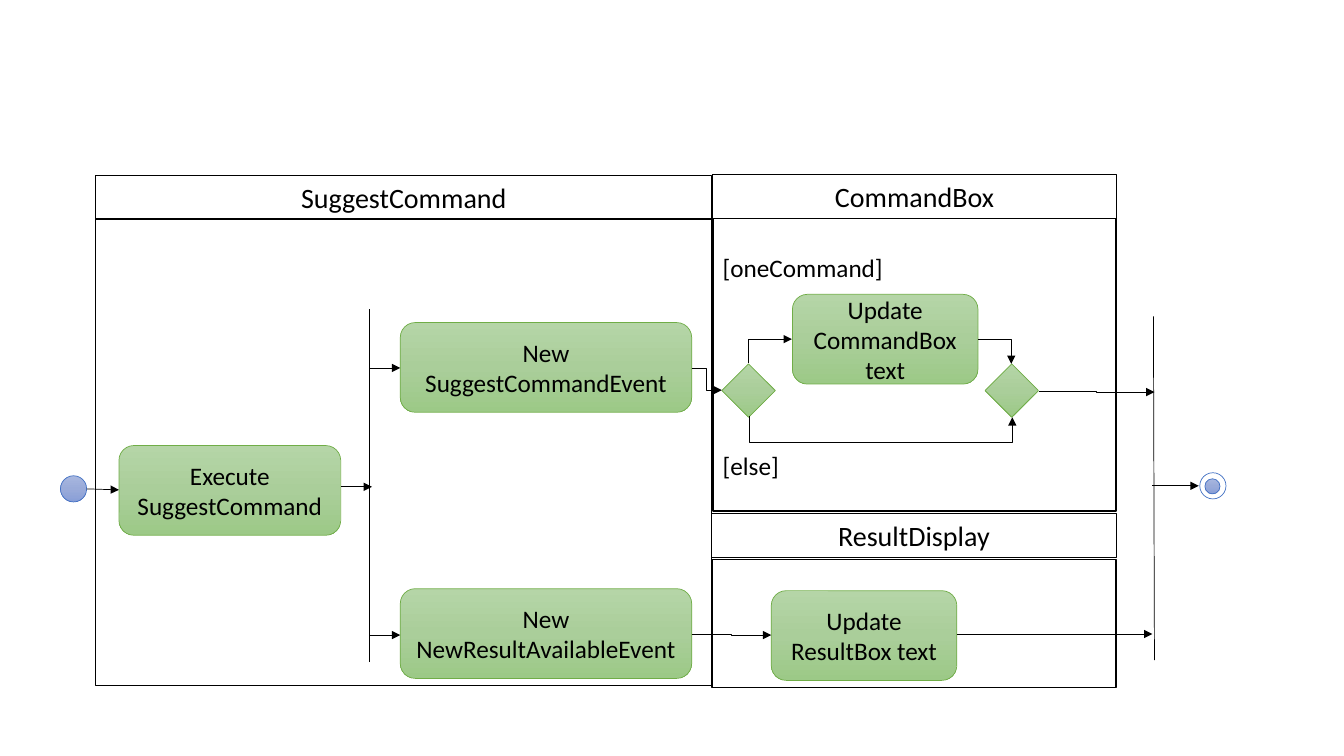
from copy import deepcopy
from pptx import Presentation
from pptx.dml.color import RGBColor
from pptx.enum.shapes import MSO_CONNECTOR, MSO_SHAPE
from pptx.enum.text import MSO_ANCHOR, PP_ALIGN
from pptx.oxml.ns import qn
from pptx.util import Inches, Pt
from lxml import etree

RECT, ROUND = MSO_SHAPE.RECTANGLE, MSO_SHAPE.ROUNDED_RECTANGLE
OVAL, GEM = MSO_SHAPE.OVAL, MSO_SHAPE.DIAMOND
LINE, ELBOW = MSO_CONNECTOR.STRAIGHT, MSO_CONNECTOR.ELBOW
TOP, MIDDLE = MSO_ANCHOR.TOP, MSO_ANCHOR.MIDDLE
LEFT, CENTER = PP_ALIGN.LEFT, PP_ALIGN.CENTER

BLACK = RGBColor(0, 0, 0)
WHITE = RGBColor(0xFF, 0xFF, 0xFF)
GREEN = RGBColor(0x70, 0xAD, 0x47)
BLUE = RGBColor(0x44, 0x72, 0xC4)
LEAF = [RGBColor.from_string(c) for c in ("B5D5A7", "AACE9A", "9CC987")]
SKY = [RGBColor.from_string(c) for c in ("A8B7DF", "9AABD9", "889ED7")]

HEAD, STEP, NODE, DOT = 0.44, 0.89, 0.53, 0.26
FORK, JOIN = 3.66, 11.44

LANES = [
    ("CommandBox", 7.07, 1.73, 4, 2.17, 2.9),
    ("ResultDisplay", 7.06, 5.09, 4.01, 5.55, 1.27),
    ("SuggestCommand", 0.95, 1.74, 6.11, 2.17, 4.63),
]
STEPS = [
    ("Execute SuggestCommand", 1.18, 4.42, 2.2),
    ("New SuggestCommandEvent", 3.97, 3.2, 2.89),
    ("New NewResultAvailableEvent", 3.97, 5.84, 2.89),
    ("Update CommandBox text", 7.86, 2.92, 1.84),
    ("Update ResultBox text", 7.65, 5.86, 1.84),
]
GUARDS = [("[oneCommand]", 7.07, 2.45, 1.83), ("[else]", 7.07, 4.42, 0.93)]
NODES = [(7.16, 3.61), (9.77, 3.61)]
DOTS = [(0.6, 4.72, DOT, SKY), (11.9, 4.69, DOT, [WHITE]), (11.95, 4.75, 0.15, SKY)]
BARS = [(FORK, 6.57, FORK, 3.07), (JOIN + 0.01, 6.55, JOIN, 3.14)]
FLOWS = [
    (0.86, 4.85, 1.18, 4.86),
    (3.38, 4.83, 3.69, 4.83),
    (FORK, 3.65, 3.97, 3.65),
    (FORK, 6.3, 3.97, 6.3),
    (9.49, 6.29, 11.43, 6.29),
    (11.43, 4.82, 11.89, 4.82),
]
BENDS = [
    (6.86, 3.65, 7.16, 3.87),
    (6.86, 6.29, 7.65, 6.3),
    (10.3, 3.88, 11.45, 3.89),
]
TURNS = [
    (7.52, 3.27, 0.24, 0.43, "bentConnector2", 90, "HV", None),
    (9.7, 3.37, 0.33, 0.24, "bentConnector2", 0, "", None),
    (8.73, 2.83, 0.01, 2.61, "bentConnector3", 270, "H", 26),
]

deck = Presentation()
deck.slide_width, deck.slide_height = Inches(13.33), Inches(7.5)
slide = deck.slides.add_slide(deck.slide_layouts[6])


def write(shape, text, size=18, align=CENTER, anchor=MIDDLE):
    frame = shape.text_frame
    frame.word_wrap = True
    frame.vertical_anchor = anchor
    para = frame.paragraphs[0]
    para.alignment = align
    run = para.add_run()
    run.text = text
    run.font.size = Pt(size)
    run.font.name = "Calibri"
    run.font.color.rgb = BLACK


def draw(kind, x, y, w, h, fill=(), line=BLACK, width=0.5):
    shape = slide.shapes.add_shape(kind, *map(Inches, (x, y, w, h)))
    shape.shadow.inherit = False
    shape.line.color.rgb = line
    shape.line.width = Pt(width)
    if len(fill) == 3:
        shape.fill.gradient()
        shape.fill.gradient_angle = 270
        first = next(shape._element.spPr.iter(qn("a:gs")))
        first.addnext(deepcopy(first))
        for i, stop in enumerate(shape.fill.gradient_stops):
            stop.position = i / 2
            stop.color.rgb = fill[i]
    elif fill:
        shape.fill.solid()
        shape.fill.fore_color.rgb = fill[0]
    else:
        shape.fill.background()
    return shape


def link(kind, ends, arrow=True):
    wire = slide.shapes.add_connector(kind, *map(Inches, ends))
    wire.line.color.rgb = BLACK
    wire.line.width = Pt(0.5)
    props = wire._element.spPr
    if arrow:
        etree.SubElement(props.find(qn("a:ln")), qn("a:tailEnd"), type="triangle")
    etree.SubElement(props, qn("a:effectLst"))
    return props


for name, x, y, w, top, h in LANES:
    draw(RECT, x, top, w, h, width=1)
    write(draw(RECT, x, y, w, HEAD, width=0.75), name, size=20, anchor=TOP)
for text, x, y, w in STEPS:
    write(draw(ROUND, x, y, w, STEP, fill=LEAF, line=GREEN), text)
for text, x, y, w in GUARDS:
    label = slide.shapes.add_textbox(*map(Inches, (x, y, w, 0.4)))
    write(label, text, align=LEFT, anchor=TOP)
for x, y in NODES:
    draw(GEM, x, y, NODE, NODE, fill=LEAF, line=GREEN)
for x, y, size, fill in DOTS:
    draw(OVAL, x, y, size, size, fill=fill, line=BLUE)

for ends in BARS:
    link(LINE, ends, arrow=False)
for ends in FLOWS:
    link(LINE, ends)
for ends in BENDS:
    link(ELBOW, ends)
for x, y, w, h, form, angle, flips, bend in TURNS:
    props = link(ELBOW, (x, y, x + w, y + h))
    frame = props.find(qn("a:xfrm"))
    frame.set("rot", str(angle * 60000))
    for axis in flips:
        frame.set("flip" + axis, "1")
    shape = props.find(qn("a:prstGeom"))
    shape.set("prst", form)
    if bend:
        guide = shape.find(qn("a:avLst"))
        etree.SubElement(guide, qn("a:gd"), name="adj1", fmla=f"val {bend * 100000}")

deck.save("out.pptx")
